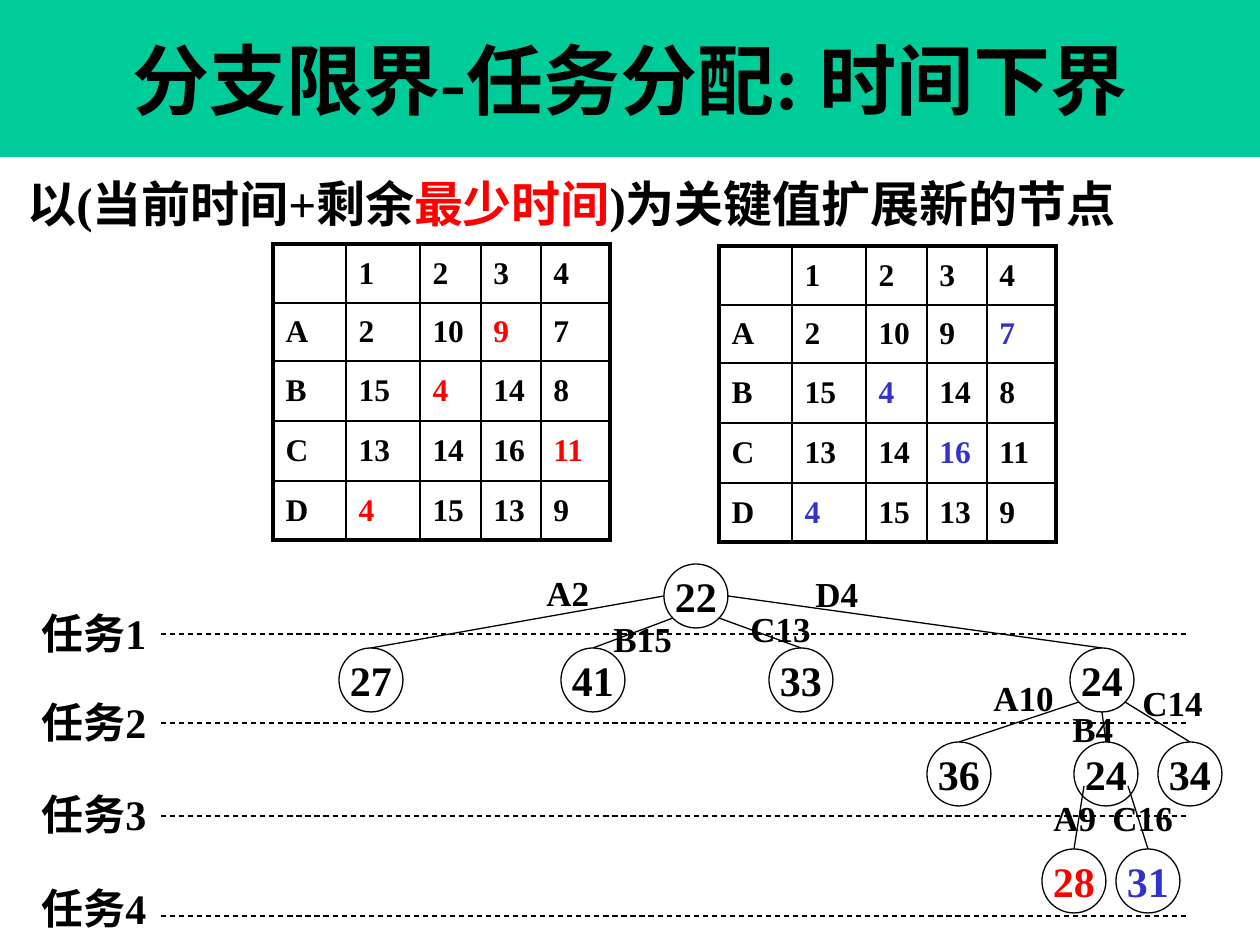
import dataclasses
import itertools

import lxml.etree
import pptx
import pptx.dml.color
import pptx.enum.dml
import pptx.enum.shapes
import pptx.enum.text
import pptx.oxml.ns
import pptx.util

RGB = pptx.dml.color.RGBColor
BLACK = RGB(0x00, 0x00, 0x00)
RED = RGB(0xFF, 0x00, 0x00)
BLUE = RGB(0x33, 0x33, 0xCC)
GREEN = RGB(0x00, 0xCC, 0x99)
FONT = "Times New Roman"
SIZE = 64  # diameter of a tree node
ANCHOR = pptx.enum.text.MSO_ANCHOR
FIT = pptx.enum.text.MSO_AUTO_SIZE
ALIGN = pptx.enum.text.PP_ALIGN
DASH = pptx.enum.dml.MSO_LINE.DASH
qn = pptx.oxml.ns.qn


@dataclasses.dataclass
class Node:
    text: str
    x: int  # centre
    y: int  # top
    color: RGB = BLACK


@dataclasses.dataclass
class Edge:
    start: str
    end: str
    dx: int  # start, measured from the centre of the node
    dy: int


@dataclasses.dataclass
class Label:
    text: str
    x: int
    y: int


@dataclasses.dataclass
class Level:
    text: str
    top: int
    line: int


@dataclasses.dataclass
class Grid:
    x: int
    y: int
    color: RGB
    marks: set  # (row, column) of the chosen cells


COLS = [73, 74, 61, 60, 69]
ROWS = [59, 58, 60, 60, 59]
COSTS = [
    ["", "1", "2", "3", "4"],
    ["A", "2", "10", "9", "7"],
    ["B", "15", "4", "14", "8"],
    ["C", "13", "14", "16", "11"],
    ["D", "4", "15", "13", "9"],
]
GRIDS = [
    Grid(273, 244, RED, {(1, 3), (2, 2), (3, 4), (4, 1)}),
    Grid(719, 246, BLUE, {(1, 4), (2, 2), (3, 3), (4, 1)}),
]
NODES = {
    "root": Node("22", 696, 564),
    "a2": Node("27", 371, 648),
    "b15": Node("41", 593, 648),
    "c13": Node("33", 801, 648),
    "d4": Node("24", 1102, 648),
    "a10": Node("36", 959, 742),
    "b4": Node("24", 1106, 742),
    "c14": Node("34", 1190, 742),
    "a9": Node("28", 1074, 849, RED),
    "c16": Node("31", 1148, 849, BLUE),
}
EDGES = [
    Edge("root", "a2", -32, 0),
    Edge("root", "d4", 32, 0),
    Edge("root", "b15", -23, 22),
    Edge("root", "c13", 23, 22),
    Edge("d4", "a10", -23, 22),
    Edge("d4", "b4", 0, 32),
    Edge("d4", "c14", 23, 22),
    Edge("b4", "a9", -22, 12),
    Edge("b4", "c16", 22, 12),
]
LABELS = [
    Label("A2", 534, 565), Label("B15", 601, 611),
    Label("C13", 738, 601), Label("D4", 803, 566),
    Label("A10", 981, 670), Label("B4", 1060, 701),
    Label("C14", 1130, 675), Label("A9", 1041, 790),
    Label("C16", 1100, 790),
]
LEVELS = [
    Level("任务1", 601, 634), Level("任务2", 690, 723),
    Level("任务3", 782, 816), Level("任务4", 876, 916),
]


def px(num: int) -> int:
    return round(num * 914400 / 126)


def add_run(para, text: str, size: int, color: RGB = BLACK) -> None:
    run = para.add_run()
    run.text = text
    run.font.name = FONT
    run.font.size = pptx.util.Pt(size)
    run.font.bold = True
    run.font.color.rgb = color


def add_text(slide, x: int, y: int, wide: int, high: int, runs: list,
             size: int, wrap: bool = False):
    box = slide.shapes.add_textbox(px(x), px(y), px(wide), px(high))
    frame = box.text_frame
    frame.word_wrap = wrap
    frame.auto_size = FIT.SHAPE_TO_FIT_TEXT
    para = frame.paragraphs[0]
    for text, color in runs:
        add_run(para, text, size, color)
    return para


def add_line(slide, x1: int, y1: int, x2: int, y2: int, dash=None):
    line = slide.shapes.add_connector(
        pptx.enum.shapes.MSO_CONNECTOR.STRAIGHT, px(x1), px(y1), px(x2), px(y2))
    line.line.color.rgb = BLACK
    line.line.width = pptx.util.Pt(0.75)
    if dash:
        line.line.dash_style = dash
    lxml.etree.SubElement(line._element.spPr, qn("a:effectLst"))
    return line


def add_node(slide, node: Node):
    oval = slide.shapes.add_shape(
        pptx.enum.shapes.MSO_SHAPE.OVAL,
        px(node.x - SIZE // 2), px(node.y), px(SIZE), px(SIZE))
    oval.shadow.inherit = False
    oval.fill.background()
    oval.line.color.rgb = BLACK
    oval.line.width = pptx.util.Pt(0.75)
    frame = oval.text_frame
    frame.word_wrap = False
    frame.vertical_anchor = ANCHOR.MIDDLE
    frame.margin_left = frame.margin_right = 0
    frame.margin_top = frame.margin_bottom = 0
    frame.paragraphs[0].alignment = ALIGN.CENTER
    add_run(frame.paragraphs[0], node.text, 24, node.color)
    return oval


def set_edges(cell, row: int, col: int) -> None:
    outer = {"L": col == 0, "R": col == len(COLS) - 1,
             "T": row == 0, "B": row == len(ROWS) - 1}
    props = cell._tc.get_or_add_tcPr()
    for spot, (side, thick) in enumerate(outer.items()):
        line = lxml.etree.Element(qn("a:ln" + side))
        line.set("w", str(pptx.util.Pt(2.25 if thick else 1)))
        fill = lxml.etree.SubElement(line, qn("a:solidFill"))
        lxml.etree.SubElement(fill, qn("a:srgbClr")).set("val", str(BLACK))
        props.insert(spot, line)


def add_grid(slide, grid: Grid) -> None:
    table = slide.shapes.add_table(
        len(ROWS), len(COLS), px(grid.x), px(grid.y),
        px(sum(COLS)), px(sum(ROWS))).table
    table.first_row = table.horz_banding = False
    for col, wide in zip(table.columns, COLS):
        col.width = px(wide)
    for row, high in zip(table.rows, ROWS):
        row.height = px(high)
    for row, col in itertools.product(range(len(ROWS)), range(len(COLS))):
        cell = table.cell(row, col)
        cell.fill.background()
        cell.vertical_anchor = ANCHOR.MIDDLE
        set_edges(cell, row, col)
        if COSTS[row][col]:
            color = grid.color if (row, col) in grid.marks else BLACK
            add_run(cell.text_frame.paragraphs[0], COSTS[row][col], 18, color)


def main() -> None:
    deck = pptx.Presentation()
    deck.slide_width, deck.slide_height = px(1260), px(945)
    slide = deck.slides.add_slide(deck.slide_layouts[5])

    # Title band
    title = slide.shapes.title
    title.left, title.top, title.width, title.height = 0, 0, px(1260), px(157)
    title.fill.solid()
    title.fill.fore_color.rgb = GREEN
    title.text_frame.auto_size = FIT.NONE
    title.text_frame.vertical_anchor = ANCHOR.MIDDLE
    title.text_frame.paragraphs[0].alignment = ALIGN.CENTER
    add_run(title.text_frame.paragraphs[0], "分支限界-任务分配: 时间下界", 44)

    # Key idea
    idea = [("以(当前时间+剩余", BLACK), ("最少时间", RED),
            (")为关键值扩展新的节点", BLACK)]
    add_text(slide, 15, 161, 1130, 73, idea, 28, True).line_spacing = 1.1

    # Cost tables
    for grid in GRIDS:
        add_grid(slide, grid)

    # Task levels
    for level in LEVELS:
        add_line(slide, 161, level.line, 1189, level.line, DASH)
        add_text(slide, 29, level.top, 141, 63, [(level.text, BLACK)], 24)

    # Search tree
    ovals = {key: add_node(slide, node) for key, node in NODES.items()}
    for edge in EDGES:
        start, end = NODES[edge.start], NODES[edge.end]
        line = add_line(slide, start.x + edge.dx, start.y + SIZE // 2 + edge.dy,
                        end.x, end.y)
        line.end_connect(ovals[edge.end], 0)
    for label in LABELS:
        wide = 78 if len(label.text) == 2 else 96
        add_text(slide, label.x, label.y, wide, 55, [(label.text, BLACK)], 20)

    deck.save("out.pptx")


if __name__ == "__main__":
    main()
